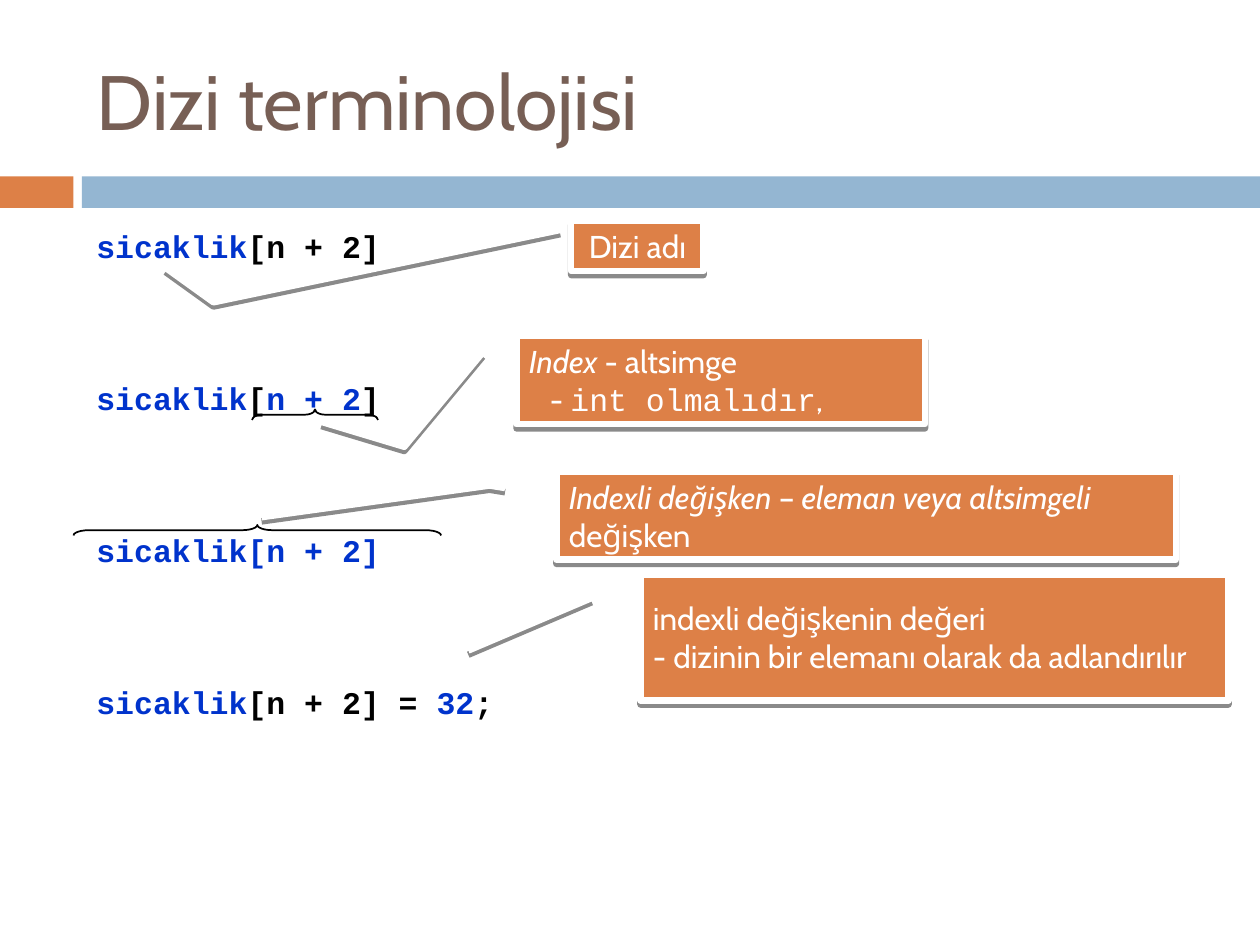
from typing import NamedTuple

from lxml import etree
from pptx import Presentation
from pptx.dml.color import RGBColor
from pptx.enum.shapes import MSO_SHAPE
from pptx.enum.text import MSO_ANCHOR, PP_ALIGN
from pptx.oxml import parse_xml
from pptx.util import Emu, Inches, Pt

RECT = MSO_SHAPE.RECTANGLE
BRACE = MSO_SHAPE.LEFT_BRACE
BENT = MSO_SHAPE.LINE_CALLOUT_2
PLAIN = MSO_SHAPE.LINE_CALLOUT_1
MIDDLE, TOP = MSO_ANCHOR.MIDDLE, MSO_ANCHOR.TOP
LEFT, CENTER = PP_ALIGN.LEFT, PP_ALIGN.CENTER

SANS, MONO = "Cabin", "Courier New"
HEX = {"orange": "DD8047", "sky": "94B6D2", "brown": "775F55",
       "blue": "0033CC", "black": "000000", "white": "FFFFFF"}
CELL = Inches(1) / 12  # the slide is 120 columns by 90 rows
DRAW = "http://schemas.openxmlformats.org/drawingml/2006/main"


class Box(NamedTuple):
    col: float
    row: float
    cols: float
    rows: float


class Run(NamedTuple):
    text: str
    color: str = "white"
    font: str = SANS
    size: float = 18
    bold: bool = False
    slant: bool = False


class Line(NamedTuple):
    runs: list[Run]
    indent: float = 0


class Call(NamedTuple):
    box: Box
    kind: int
    lead: list[float]
    lines: list[Line]
    align: int = LEFT
    wrap: bool = True


class Span(NamedTuple):
    box: Box
    curve: float


def code(text: str, color: str = "blue") -> Run:
    return Run(text, color, MONO, bold=True)


BANDS = [(Box(0, 16.8, 7, 3), "orange"), (Box(7.8, 16.8, 112.2, 3), "sky")]
TITLE = Box(8, 3, 107, 13)
BODY = Box(8, 21, 107, 59)
CODE = [
    Line([code("sicaklik"), code("[n + 2]", "black")]),
    Line([code("sicaklik"), code("[", "black"), code("n + 2"), code("]", "black")]),
    Line([code("sicaklik[n + 2]")]),
    Line([code("sicaklik"), code("[n + 2] = ", "black"), code("32"), code(";", "black")]),
]
SPANS = [Span(Box(7, 50, 35, 1), 1.46), Span(Box(24, 39, 12, 1), 1)]
CALLS = [
    Call(Box(54.4, 21, 12.6, 4.8), BENT, [.188, -.083, 1.624, -2.704, .938, -3.067],
         [Line([Run("Dizi adı")])], CENTER, False),
    Call(Box(49.2, 32, 38.9, 8.4), BENT, [.188, -.083, 1.257, -.275, .974, -.478],
         [Line([Run("Index", slant=True), Run(" - altsimge")]),
          Line([Run("- "), Run("int olmalıdır", font=MONO), Run(",")], 2)]),
    Call(Box(53, 44.9, 59, 8.4), BENT, [.188, -.083, .16, -.108, .519, -.476],
         [Line([Run("Indexli değişken ", slant=True), Run("– "),
                Run("eleman veya altsimgeli ", slant=True), Run("değişken")])]),
    Call(Box(61, 54.7, 56, 12), PLAIN, [.188, -.083, .605, -.293],
         [Line([Run("indexli değişkenin değeri")]),
          Line([Run("- dizinin bir elemanı olarak da adlandırılır")])]),
]


def tint(name: str) -> RGBColor:
    return RGBColor.from_string(HEX[name])


def place(box: Box) -> list[Emu]:
    return [Emu(round(part * CELL)) for part in box]


def write(frame, lines: list[Line], align=LEFT, anchor=MIDDLE, wrap=True, gap=0) -> None:
    """Fill a text frame; gap is the space in points between its lines."""
    frame.word_wrap = wrap
    frame.vertical_anchor = anchor
    for i, line in enumerate(lines):
        para = frame.paragraphs[0] if i == 0 else frame.add_paragraph()
        para.alignment = align
        para.space_before = Pt(gap if i else 0)
        if line.indent:
            para._p.get_or_add_pPr().set("marL", str(round(line.indent * CELL)))
        for item in line.runs:
            run = para.add_run()
            run.text = item.text
            font = run.font
            font.name, font.size = item.font, Pt(item.size)
            font.bold, font.italic = item.bold, item.slant
            font.color.rgb = tint(item.color)


def add_band(slide, box: Box, color: str) -> None:
    band = slide.shapes.add_shape(RECT, *place(box))
    band.shadow.inherit = False
    band.fill.solid()
    band.fill.fore_color.rgb = tint(color)
    band.line.fill.background()


def add_span(slide, span: Span) -> None:
    """Lay a left brace on its side, so that its tip points up."""
    col, row, cols, rows = span.box
    side = Box(col + (cols - rows) / 2, row + (rows - cols) / 2, rows, cols)
    brace = slide.shapes.add_shape(BRACE, *place(side))
    brace.rotation = 90
    brace.adjustments[0] = span.curve
    brace.shadow.inherit = False
    brace.fill.background()
    brace.line.color.rgb = tint("black")
    brace.line.width = Pt(1)


def cast(shape) -> None:
    """Give the shape a hard shadow straight below it."""
    shape.shadow.inherit = False
    effects = shape._element.spPr.find(f"{{{DRAW}}}effectLst")
    shade = parse_xml(f'<a:outerShdw xmlns:a="{DRAW}" blurRad="0" dist="{Pt(2.4)}" '
                      'dir="5400000" algn="ctr" rotWithShape="0"/>')
    color = etree.SubElement(shade, f"{{{DRAW}}}srgbClr", val=HEX["black"])
    etree.SubElement(color, f"{{{DRAW}}}alpha", val="45000")
    effects.append(shade)


def add_call(slide, call: Call) -> None:
    shape = slide.shapes.add_shape(call.kind, *place(call.box))
    for i, part in enumerate(call.lead):
        shape.adjustments[i] = part
    shape.fill.solid()
    shape.fill.fore_color.rgb = tint("orange")
    shape.line.color.rgb = tint("white")
    shape.line.width = Pt(3.75)
    cast(shape)
    write(shape.text_frame, call.lines, call.align, wrap=call.wrap)


def main() -> None:
    deck = Presentation()
    deck.slide_width, deck.slide_height = Inches(10), Inches(7.5)
    slide = deck.slides.add_slide(deck.slide_layouts[5])
    for box, color in BANDS:
        add_band(slide, box, color)
    title = slide.shapes.title
    title.left, title.top, title.width, title.height = place(TITLE)
    write(title.text_frame, [Line([Run("Dizi terminolojisi", "brown", size=44)])])
    body = slide.shapes.add_textbox(*place(BODY))
    write(body.text_frame, CODE, anchor=TOP, gap=65.3)
    for span in SPANS:
        add_span(slide, span)
    for call in CALLS:
        add_call(slide, call)
    deck.save("out.pptx")


if __name__ == "__main__":
    main()
